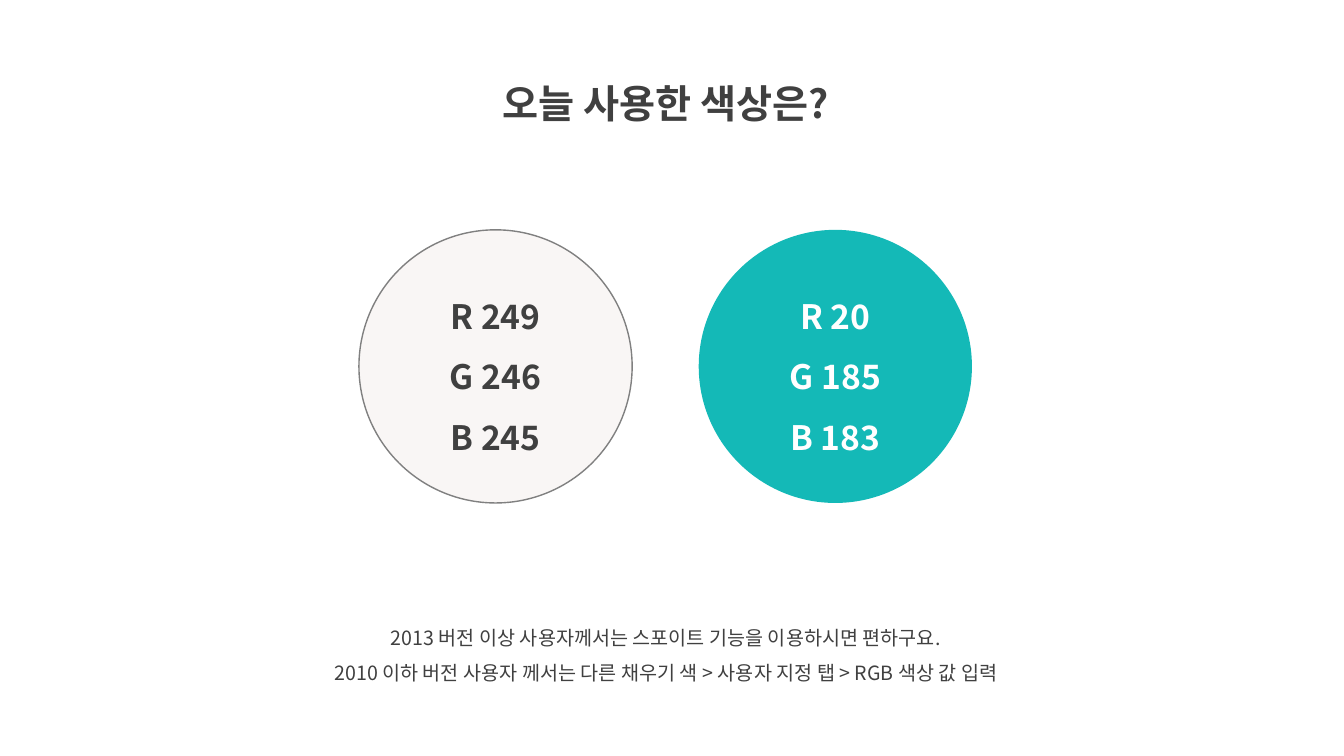
from lxml.etree import SubElement
from pptx import Presentation
from pptx.dml.color import RGBColor
from pptx.enum.shapes import MSO_SHAPE as Shape
from pptx.enum.text import MSO_ANCHOR as Anchor, MSO_AUTO_SIZE as AutoSize, PP_ALIGN as Align
from pptx.oxml.ns import qn
from pptx.util import Inches, Pt

COLORS = {
    "ink": "404040",
    "outline": "808080",
    "ivory": "F9F6F5",
    "teal": "14B9B7",
    "white": "FFFFFF",
}
FONT = "Noto Sans CJK KR"


def color(name):
    return RGBColor.from_string(COLORS[name])


def write(frame, lines, size, ink, bold):
    frame.word_wrap = True
    for index, line in enumerate(lines):
        para = frame.paragraphs[0] if index == 0 else frame.add_paragraph()
        para.alignment = Align.CENTER
        para.line_spacing = 1.5
        span = para.add_run()
        span.text = line
        for name, value in {"name": FONT, "size": Pt(size), "bold": bold}.items():
            setattr(span.font, name, value)
        span.font.color.rgb = color(ink)
        SubElement(span.font._element, qn("a:ea"), typeface=FONT)


deck = Presentation()
deck.slide_width, deck.slide_height = Inches(13.33), Inches(7.5)
page = deck.slides.add_slide(deck.slide_layouts[6])

captions = [
    ((4.29, 0.5, 4.63, 0.72), ["오늘 사용한 색상은?"], 28, True),
    ((2.61, 6.04, 7.99, 0.81), [
        "2013 버전 이상 사용자께서는 스포이트 기능을 이용하시면 편하구요.",
        "2010 이하 버전 사용자 께서는 다른 채우기 색 > 사용자 지정 탭 > RGB 색상 값 입력",
    ], 14, False),
]
for place, lines, size, bold in captions:
    box = page.shapes.add_textbox(*map(Inches, place))
    write(box.text_frame, lines, size, "ink", bold)
    box.text_frame.auto_size = AutoSize.SHAPE_TO_FIT_TEXT

swatches = [
    (3.56, "ivory", "outline", "ink", (249, 246, 245)),
    (6.93, "teal", None, "white", (20, 185, 183)),
]
for left, fill, outline, ink, levels in swatches:
    circle = page.shapes.add_shape(
        Shape.OVAL, Inches(left), Inches(2.28), Inches(2.71), Inches(2.71))
    circle.shadow.inherit = False
    circle.fill.solid()
    circle.fill.fore_color.rgb = color(fill)
    if outline:
        circle.line.color.rgb = color(outline)
        circle.line.width = Pt(1)
    else:
        circle.line.fill.background()
    circle.text_frame.vertical_anchor = Anchor.MIDDLE
    lines = [f"{channel} {level}" for channel, level in zip("RGB", levels)]
    write(circle.text_frame, lines, 24, ink, True)

deck.save("out.pptx")
